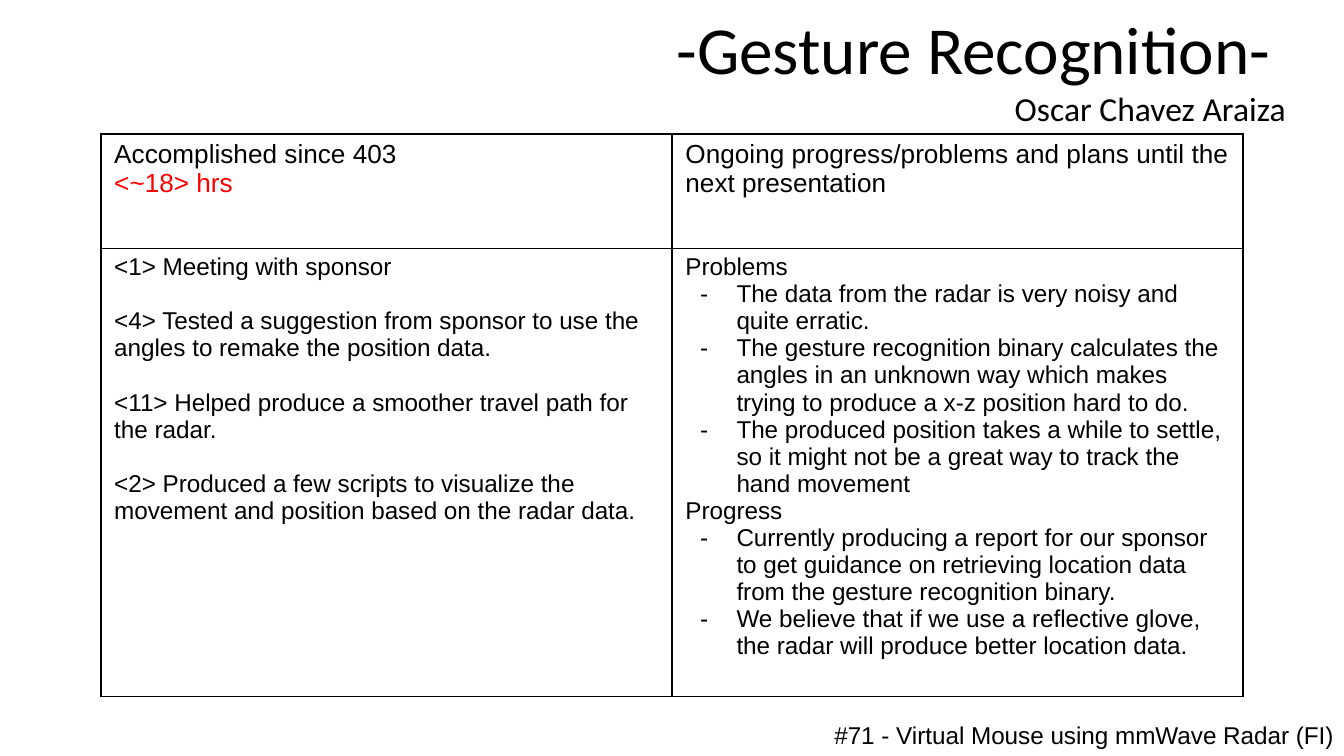
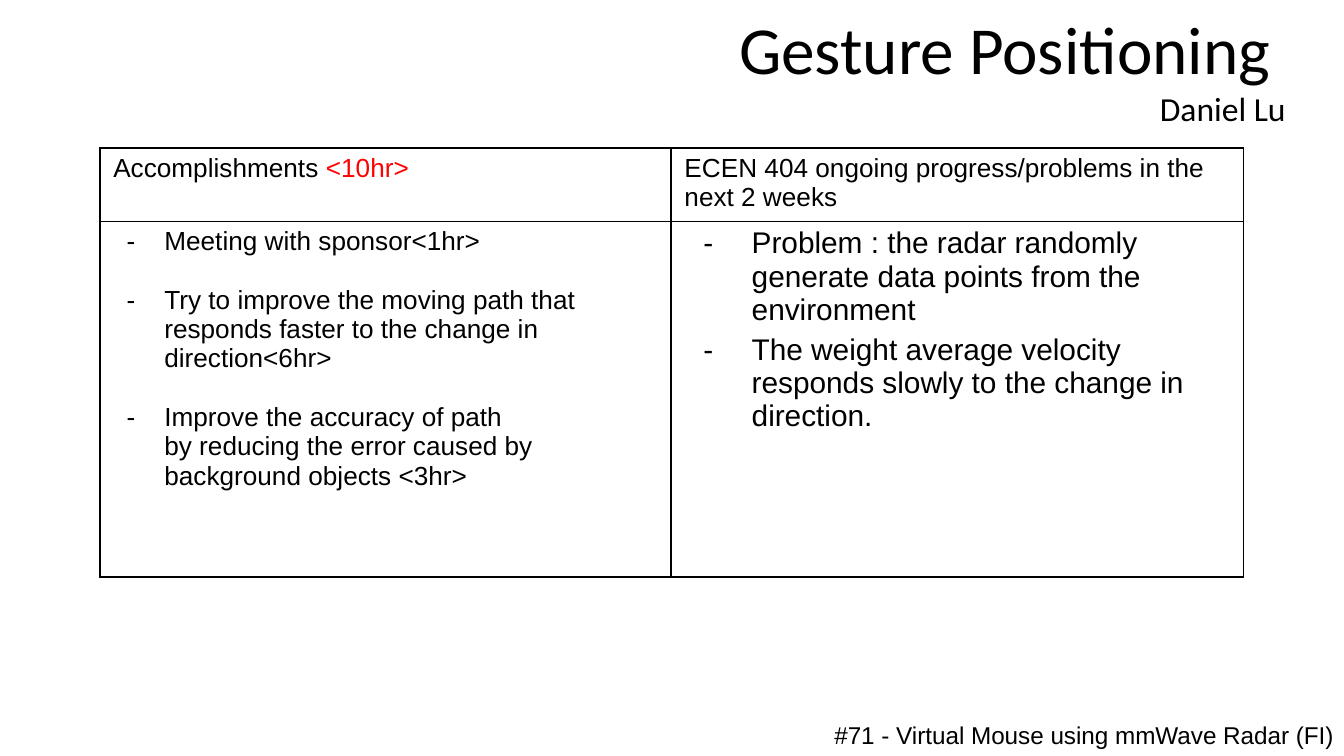
from dataclasses import dataclass
from typing import Optional

from lxml.etree import SubElement
from pptx import Presentation
from pptx.dml.color import RGBColor
from pptx.enum.text import PP_ALIGN
from pptx.oxml.ns import qn
from pptx.util import Inches, Pt

BLACK = RGBColor(0x00, 0x00, 0x00)
RED = RGBColor(0xFF, 0x00, 0x00)
WHITE = RGBColor(0xFF, 0xFF, 0xFF)
HEADING_FONT = "Calibri"
BODY_FONT = "Arial"
SLIDE_WIDTH = Inches(10)
SLIDE_HEIGHT = SLIDE_WIDTH * 9 // 16
HEADER_SIZE = 14
LINE_BREAK = ("\n", BLACK)
FOOTER_TEXT = "#71 - Virtual Mouse using mmWave Radar (FI)"


@dataclass
class Entry:
    """One paragraph of a table cell; runs are (text, colour) pairs."""
    runs: list
    size: float
    before: float = 0
    margin: float = 0
    hanging: float = 0
    bullet: Optional[str] = None


@dataclass
class Grid:
    """Place, column widths and row heights of a table, in percent of the slide."""
    left: float
    top: float
    widths: tuple
    heights: tuple


def across(percent):
    """Return a share of the slide's width."""
    return int(SLIDE_WIDTH * percent / 100)


def down(percent):
    """Return a share of the slide's height."""
    return int(SLIDE_HEIGHT * percent / 100)


def plain(text, size, before=0, margin=0):
    """Describe a black paragraph without a bullet."""
    return Entry([(text, BLACK)], size, before, margin)


def dashed(text, size, before=0, margin=0.38, hanging=0.27):
    """Describe a black paragraph with a dash bullet."""
    return Entry([(text, BLACK)], size, before, margin, hanging, "-")


def header(*runs):
    """Describe the paragraph of a table heading."""
    return [Entry(list(runs), HEADER_SIZE)]


def add_run(paragraph, text, size, font, color=BLACK):
    """Add one formatted run."""
    run = paragraph.add_run()
    run.text = text
    run.font.size = Pt(size)
    run.font.name = font
    run.font.color.rgb = color


def add_break(paragraph, size):
    """Add a line break of the given text size."""
    paragraph.add_line_break()
    SubElement(paragraph._p[-1], qn("a:rPr"), sz=str(size * 100))


def set_indent(paragraph, entry):
    """Set the indent and the bullet of a paragraph."""
    properties = paragraph._p.get_or_add_pPr()
    properties.set("marL", str(Inches(entry.margin)))
    properties.set("indent", str(-Inches(entry.hanging)))
    if entry.bullet:
        color = SubElement(properties, qn("a:buClr"))
        SubElement(color, qn("a:srgbClr"), val=str(BLACK))
        SubElement(properties, qn("a:buFont"), typeface=BODY_FONT)
        SubElement(properties, qn("a:buChar"), char=entry.bullet)
    else:
        SubElement(properties, qn("a:buNone"))


def paragraphs_for(frame, count):
    """Return the first paragraph and as many more as are needed."""
    return [frame.paragraphs[0]] + [frame.add_paragraph() for _ in range(count - 1)]


def add_text_box(slide, left, top, width, height, margin):
    """Add a wrapping text box and return its text frame."""
    shape = slide.shapes.add_textbox(across(left), down(top), across(width), down(height))
    frame = shape.text_frame
    frame.word_wrap = True
    frame.margin_top = frame.margin_bottom = Inches(margin)
    return frame


def add_heading(slide, title, author):
    """Add the right-aligned title with the author below it."""
    frame = add_text_box(slide, 24.2, 0.1, 72.45, 17.95, 0.05)
    lines = [(title + " ", 36), (author, 18)]
    for paragraph, (text, size) in zip(paragraphs_for(frame, len(lines)), lines):
        paragraph.alignment = PP_ALIGN.RIGHT
        add_run(paragraph, text, size, HEADING_FONT)


def add_footer(slide):
    """Add the project line at the bottom."""
    frame = add_text_box(slide, 61.1, 93.5, 66.7, 10.3, 0.1)
    add_run(frame.paragraphs[0], FOOTER_TEXT, 13, BODY_FONT)


def style_cell(cell):
    """Give a cell black borders, a white fill and its margins."""
    properties = cell._tc.get_or_add_tcPr()
    for side in ("lnL", "lnR", "lnT", "lnB"):
        line = SubElement(properties, qn("a:" + side), w=str(Pt(1)))
        fill = SubElement(line, qn("a:solidFill"))
        SubElement(fill, qn("a:srgbClr"), val=str(BLACK))
    cell.fill.solid()
    cell.fill.fore_color.rgb = WHITE
    cell.margin_left = cell.margin_right = Inches(0.1)
    cell.margin_top = cell.margin_bottom = Inches(0.04)


def fill_cell(cell, entries):
    """Write the entries into a cell."""
    style_cell(cell)
    for paragraph, entry in zip(paragraphs_for(cell.text_frame, len(entries)), entries):
        set_indent(paragraph, entry)
        if entry.before:
            paragraph.space_before = Pt(entry.before)
        for run in entry.runs:
            if run == LINE_BREAK:
                add_break(paragraph, entry.size)
            else:
                text, color = run
                add_run(paragraph, text, entry.size, BODY_FONT, color)


def add_status_table(slide, grid, rows):
    """Add the two-column status table."""
    shape = slide.shapes.add_table(
        len(grid.heights), len(grid.widths), across(grid.left), down(grid.top),
        across(sum(grid.widths)), down(sum(grid.heights)))
    table = shape.table
    table.first_row = table.horz_banding = False
    for column, width in zip(table.columns, grid.widths):
        column.width = across(width)
    for row, height, contents in zip(table.rows, grid.heights, rows):
        row.height = down(height)
        for cell, entries in zip(row.cells, contents):
            fill_cell(cell, entries)


def add_status_slide(presentation, title, author, grid, rows):
    """Add a slide with heading, status table and footer."""
    slide = presentation.slides.add_slide(presentation.slide_layouts[6])
    add_heading(slide, title, author)
    add_status_table(slide, grid, rows)
    add_footer(slide)


def recognition_rows():
    """Return the table contents on gesture recognition."""
    size, gap = 13, 14.5
    accomplished = [
        plain("<1> Meeting with sponsor", size),
        plain("<4> Tested a suggestion from sponsor to use the angles to remake "
              "the position data.", size, gap),
        plain("<11> Helped produce a smoother travel path for the radar.", size, gap),
        plain("<2> Produced a few scripts to visualize the movement and position "
              "based on the radar data.", size, gap),
    ]
    ongoing = [
        plain("Problems", size),
        dashed("The data from the radar is very noisy and quite erratic.", size),
        dashed("The gesture recognition binary calculates the angles in an unknown way "
               "which makes trying to produce a x-z position hard to do.", size),
        dashed("The produced position takes a while to settle, so it might not be "
               "a great way to track the hand movement", size),
        plain("Progress", size),
        dashed("Currently producing a report for our sponsor to get guidance on "
               "retrieving location data from the gesture recognition binary.", size),
        dashed("We believe that if we use a reflective glove, the radar will produce "
               "better location data.", size),
    ]
    headings = [
        header(("Accomplished since 403 ", BLACK), LINE_BREAK, ("<~18> hrs", RED)),
        header(("Ongoing progress/problems and plans until the next presentation", BLACK)),
    ]
    return [headings, [accomplished, ongoing]]


def positioning_rows():
    """Return the table contents on gesture positioning."""
    size, gap, hanging = 14, 15.6, 0.28
    accomplished = [
        dashed("Meeting with sponsor<1hr>", size, hanging=hanging),
        dashed("Try to improve the moving path that responds faster to the change "
               "in direction<6hr>", size, gap, hanging=hanging),
        dashed("Improve the accuracy of path", size, gap, hanging=hanging),
        plain("by reducing the error caused by background objects <3hr>", size, margin=0.38),
    ]
    ongoing = [
        dashed("Problem : the radar randomly generate data points from the environment",
               16, 0, 0.5, 0.36),
        dashed("The weight average velocity responds slowly to the change in direction.",
               16, 3.6, 0.5, 0.36),
    ]
    headings = [
        header(("Accomplishments ", BLACK), ("<10hr>", RED)),
        header(("ECEN 404 ongoing progress/problems in the next 2 weeks", BLACK)),
    ]
    return [headings, [accomplished, ongoing]]


def main():
    """Build and save the presentation."""
    presentation = Presentation()
    presentation.slide_width = SLIDE_WIDTH
    presentation.slide_height = SLIDE_HEIGHT
    add_status_slide(presentation, "-Gesture Recognition-", "Oscar Chavez Araiza",
                     Grid(7.5, 17.75, (42.5, 42.5), (15.1, 59.15)), recognition_rows())
    add_status_slide(presentation, "Gesture Positioning", "Daniel Lu",
                     Grid(7.43, 19.6, (42.5, 42.6), (9.6, 47)), positioning_rows())
    presentation.save("out.pptx")


if __name__ == "__main__":
    main()
